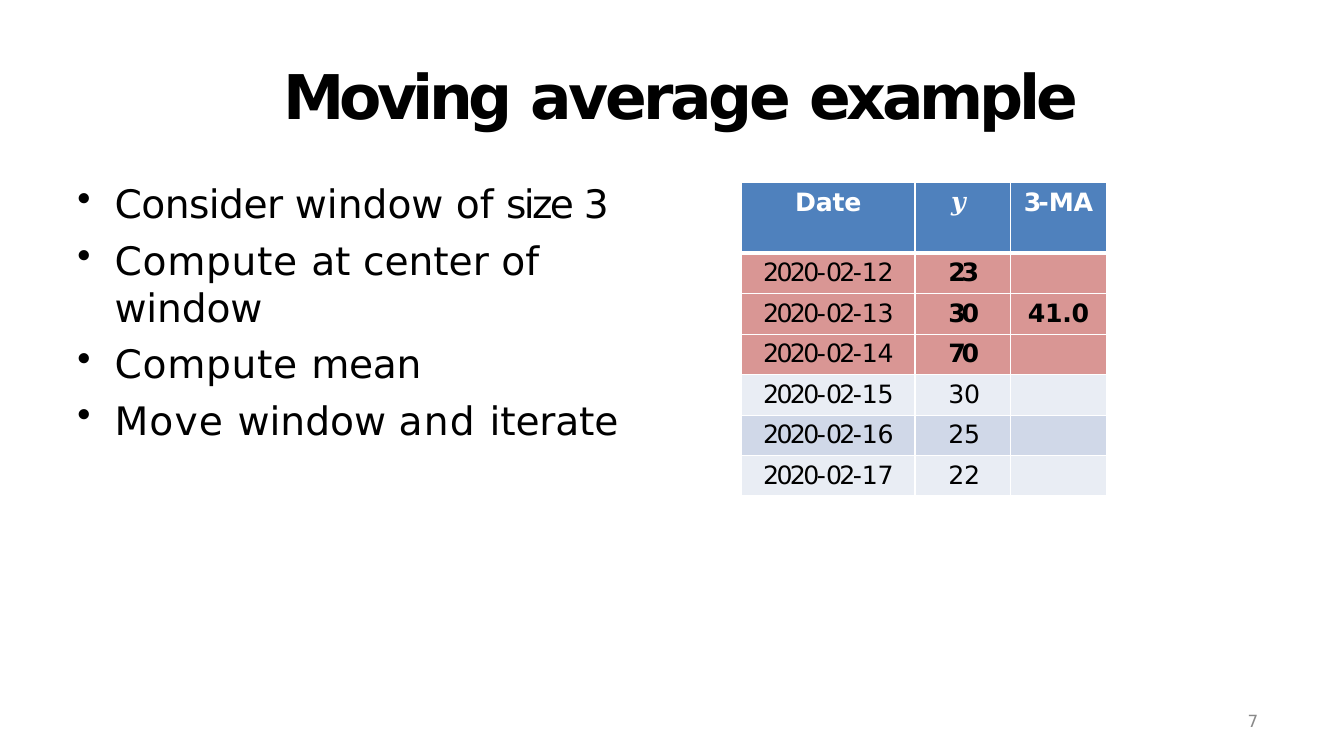
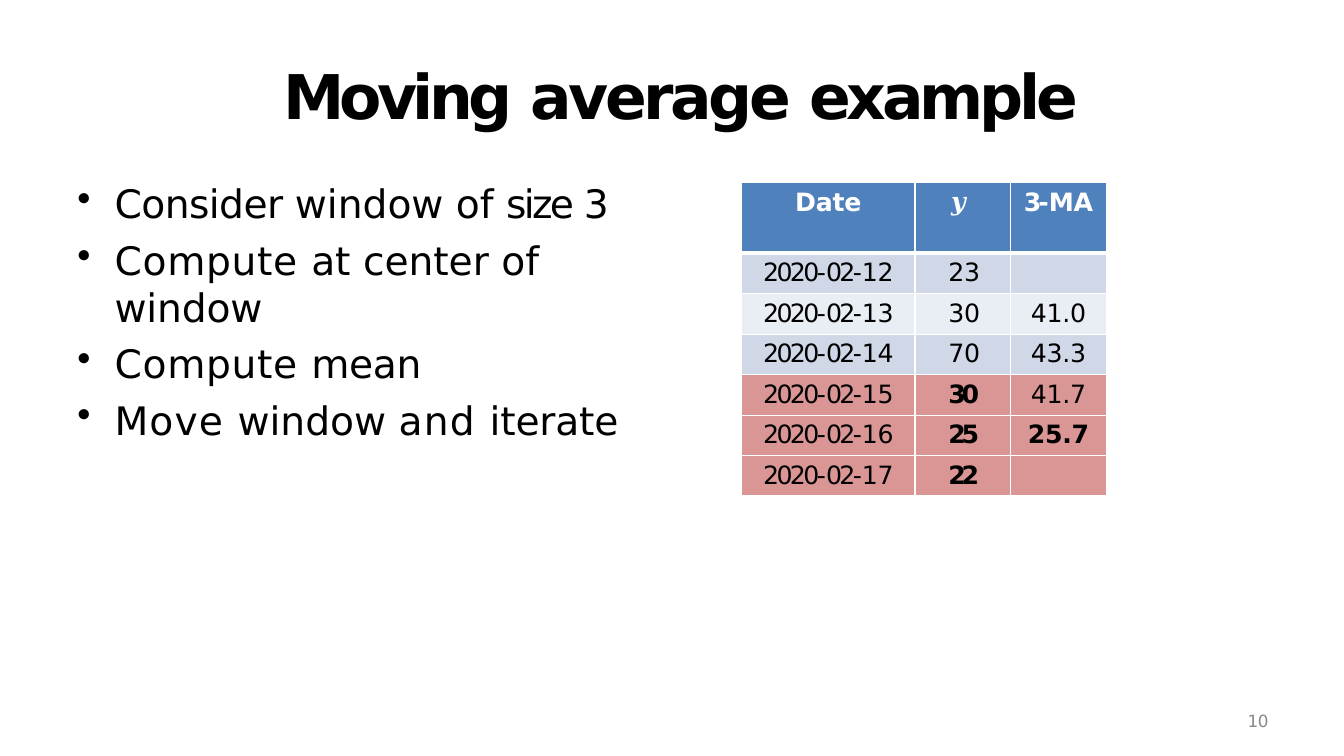
import pptx
import pptx.dml.color
import pptx.enum.text
import pptx.oxml
import pptx.oxml.ns
import pptx.util
from pptx.util import Cm

RGBColor = pptx.dml.color.RGBColor
PP_ALIGN = pptx.enum.text.PP_ALIGN

BLACK = RGBColor(0x00, 0x00, 0x00)
WHITE = RGBColor(0xFF, 0xFF, 0xFF)
GRAY = RGBColor(0x89, 0x89, 0x89)
HEADER_BLUE = RGBColor(0x4F, 0x81, 0xBD)
WINDOW_RED = RGBColor(0xD9, 0x96, 0x94)
BANDS = (RGBColor(0xD0, 0xD8, 0xE8), RGBColor(0xE9, 0xED, 0xF4))

BODY_FONT = "DejaVu Sans"
MATH_FONT = "Cambria"

TITLE_BOX = (Cm(1.96), Cm(1.42), Cm(29.95), Cm(1.75))
STEPS_BOX = (Cm(1.9), Cm(4.24), Cm(15.65), Cm(5.77))
NUMBER_BOX = (Cm(31.34), Cm(17.88), Cm(0.71), Cm(0.58))
TABLE_CORNER = (Cm(18.69), Cm(4.6))
COLUMN_WIDTHS = (Cm(4.37), Cm(2.41), Cm(2.41))
HEADER_HEIGHT, ROW_HEIGHT = Cm(1.78), Cm(1.02)

# Text pieces are pairs of wording and letter spacing in points.
TITLE = [("Moving", -3.4), (" average ", -2.5), ("example", -3)]
STEPS = [
    (0, [("Consider ", -0.4), ("window of ", 0), ("size ", -1.9), ("3", -0.5)]),
    (7.2, [("Compute ", 0.5), ("at center of ", 0), ("window", -0.1)]),
    (6.5, [("Compute ", 0.5), ("mean", -0.2)]),
    (6.5, [("Move ", 0.8), ("window ", 0), ("and ", 0.9), ("iterate", -0.1)]),
]
DAYS = range(12, 18)
VALUES = (23, 30, 70, 30, 25, 22)


def write(paragraph, pieces, *, size=18, color=BLACK, bold=False, font=BODY_FONT,
          align=PP_ALIGN.LEFT, margin=0, hanging=0, before=0, bullet=None):
    """Fill a paragraph with (text, letter spacing) pieces in one format."""
    properties = paragraph._p.get_or_add_pPr()
    properties.set("marL", str(int(margin)))
    properties.set("indent", str(-int(hanging)))
    if bullet:
        mark = pptx.oxml.parse_xml(
            f'<a:buChar {pptx.oxml.ns.nsdecls("a")} char="{bullet}"/>')
        properties.append(mark)
    paragraph.alignment = align
    paragraph.space_before = pptx.util.Pt(before)
    for text, spacing in pieces:
        run = paragraph.add_run()
        run.text = text
        run.font.size = pptx.util.Pt(size)
        run.font.name = font
        run.font.bold = bold
        run.font.color.rgb = color
        run._r.get_or_add_rPr().set("spc", str(round(spacing * 100)))


def add_text_frame(slide, box, top_inset=Cm(0.03)):
    frame = slide.shapes.add_textbox(*box).text_frame
    frame.word_wrap = True
    frame.auto_size = pptx.enum.text.MSO_AUTO_SIZE.SHAPE_TO_FIT_TEXT
    frame.margin_left = frame.margin_right = frame.margin_bottom = 0
    frame.margin_top = top_inset
    return frame


def add_title(slide, box):
    write(add_text_frame(slide, box).paragraphs[0], TITLE,
          size=44, bold=True, margin=Cm(5.18))


def add_page_number(slide, box, number):
    write(add_text_frame(slide, box).paragraphs[0], [(str(number), -0.2)],
          size=12, color=GRAY, margin=Cm(0.1))


def add_steps(slide, box):
    frame = add_text_frame(slide, box, top_inset=Cm(0.28))
    for index, (before, pieces) in enumerate(STEPS):
        paragraph = frame.add_paragraph() if index else frame.paragraphs[0]
        write(paragraph, pieces, size=28, margin=Cm(0.99), hanging=Cm(0.94),
              before=before, bullet="•")


def style_cell(cell, fill, top=1, bottom=1):
    """Set insets, white borders (widths in points) and fill."""
    cell.margin_left = cell.margin_right = cell.margin_bottom = 0
    cell.margin_top = Cm(0.13)
    properties = cell._tc.get_or_add_tcPr()
    for side, width in (("L", 1), ("R", 1), ("T", top), ("B", bottom)):
        properties.append(pptx.oxml.parse_xml(
            f'<a:ln{side} {pptx.oxml.ns.nsdecls("a")} w="{pptx.util.Pt(width)}">'
            f'<a:solidFill><a:srgbClr val="{WHITE}"/></a:solidFill></a:ln{side}>'))
    cell.fill.solid()
    cell.fill.fore_color.rgb = fill


def add_average_table(slide, corner, center):
    """Show the 3-point averages up to the window centred on one row."""
    width = sum(COLUMN_WIDTHS)
    height = HEADER_HEIGHT + ROW_HEIGHT * len(VALUES)
    table = slide.shapes.add_table(
        len(VALUES) + 1, len(COLUMN_WIDTHS), *corner, width, height).table
    for column, column_width in zip(table.columns, COLUMN_WIDTHS):
        column.width = column_width
    for index, row in enumerate(table.rows):
        row.height = ROW_HEIGHT if index else HEADER_HEIGHT

    centered = {"align": PP_ALIGN.CENTER}
    headings = (
        ([("Date", -0.2)], {"bold": True, **centered}),
        ([("𝒚", -0.5)], {"font": MATH_FONT, "margin": Cm(0.91)}),
        ([("3-", -2), ("MA", -0.2)], {"bold": True, **centered}),
    )
    for cell, (pieces, style) in zip(table.rows[0].cells, headings):
        style_cell(cell, HEADER_BLUE, bottom=3)
        write(cell.text_frame.paragraphs[0], pieces, color=WHITE, **style)

    for index, (day, value) in enumerate(zip(DAYS, VALUES)):
        in_window = abs(index - center) <= 1
        fill = WINDOW_RED if in_window else BANDS[index % 2]
        date = [("2020-", -1.8), ("02-", -1.9), (str(day), -0.2)]
        amount = [(str(value), -3 if in_window else -0.2)]
        average = []
        if 1 <= index <= center:
            mean = sum(VALUES[index - 1:index + 2]) / 3
            average = [(f"{mean:.1f}", -0.2)]
        entries = (
            (date, centered),
            (amount, {"bold": in_window, "margin": Cm(0.84)}),
            (average, {"bold": index == center, **centered}),
        )
        for cell, (pieces, style) in zip(table.rows[index + 1].cells, entries):
            style_cell(cell, fill, top=1 if index else 3)
            write(cell.text_frame.paragraphs[0], pieces, **style)


def add_example_slide(deck, number, center):
    slide = deck.slides.add_slide(deck.slide_layouts[6])
    add_page_number(slide, NUMBER_BOX, number)
    add_title(slide, TITLE_BOX)
    add_steps(slide, STEPS_BOX)
    add_average_table(slide, TABLE_CORNER, center)


def main():
    deck = pptx.Presentation()
    deck.slide_width, deck.slide_height = Cm(33.87), Cm(19.05)
    for number, center in ((7, 1), (10, 4)):
        add_example_slide(deck, number, center)
    deck.save("out.pptx")


if __name__ == "__main__":
    main()
